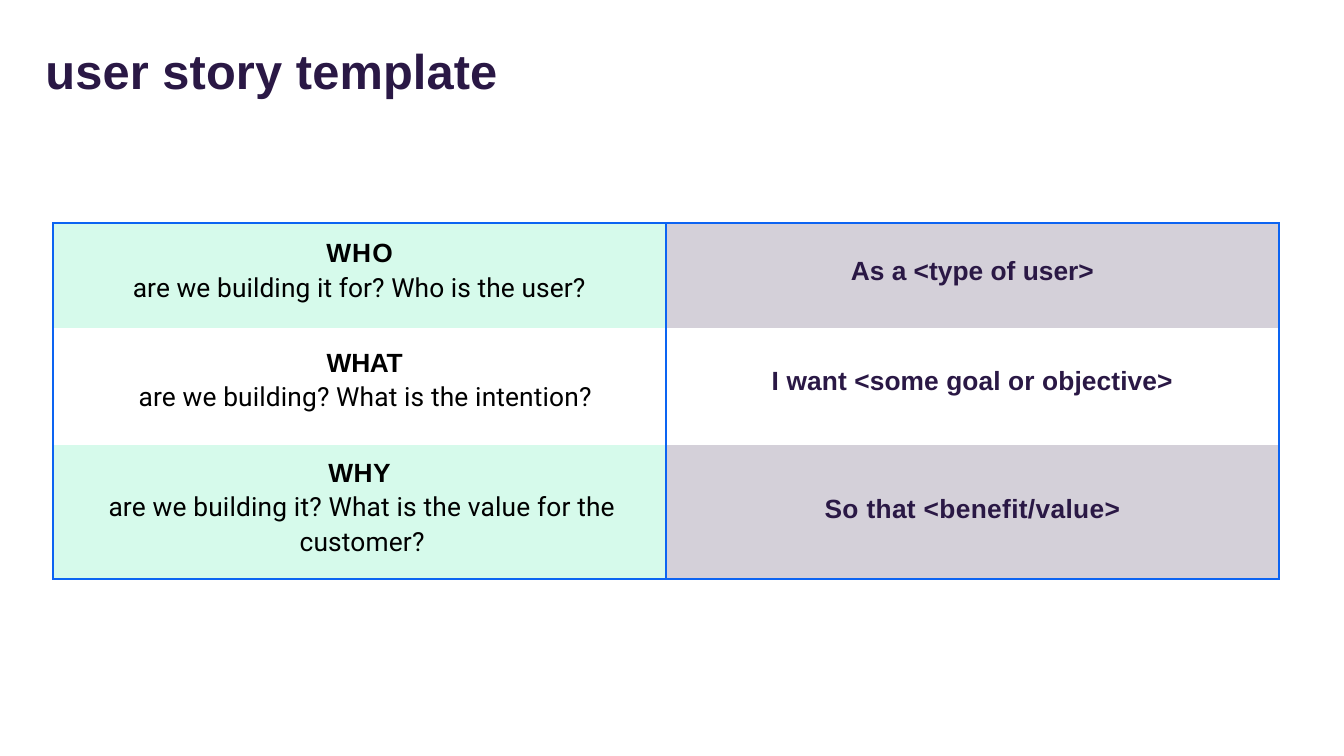
"""Build the user story template slide: a title above a two-column table."""
from lxml import etree
from pptx import Presentation
from pptx.dml.color import RGBColor
from pptx.enum.text import MSO_ANCHOR, PP_ALIGN
from pptx.oxml.ns import qn
from pptx.util import Pt

CENTER = PP_ALIGN.CENTER
LEFT = PP_ALIGN.LEFT
TOP = MSO_ANCHOR.TOP
PURPLE, BLACK, WHITE = "2A1845", "000000", "FFFFFF"
MINT, GREY, BLUE = "D6FAEB", "D4D0D9", "0C64F2"


def color(value):
    return RGBColor.from_string(value)


def write(paragraph, text, size=31, font="Arial", ink=BLACK, bold=True, align=CENTER,
          tracking=0, before=0, line=1, left=0, right=0):
    paragraph.alignment = align
    paragraph.space_before = Pt(before)
    paragraph.line_spacing = line
    properties = paragraph._p.get_or_add_pPr()
    properties.set("marL", str(Pt(left)))
    properties.set("marR", str(Pt(right)))
    run = paragraph.add_run()
    run.text = text
    run.font.name = font
    run.font.size = Pt(size)
    run.font.bold = bold
    run.font.color.rgb = color(ink)
    run._r.get_or_add_rPr().set("spc", str(round(tracking * 100)))


presentation = Presentation()
presentation.slide_width = Pt(1583.3)
presentation.slide_height = Pt(890.6)
slide = presentation.slides.add_slide(presentation.slide_layouts[6])

title = slide.shapes.add_textbox(Pt(52.6), Pt(46.8), Pt(539.3), Pt(71.3)).text_frame
title.word_wrap = False
title.margin_left = title.margin_right = title.margin_bottom = 0
title.margin_top = Pt(1.4)
write(title.paragraphs[0], "user story template", size=57.5, ink=PURPLE, align=LEFT,
      tracking=0.18, before=1.2, left=0.9)

rows = [
    dict(height=124, fills=(MINT, GREY), tops=(18, 40),
         word="WHO", word_format=dict(tracking=1.4),
         question="are we building it for? Who is the user?",
         question_format=dict(tracking=0.13, before=5.7),
         story="As a <type of user>", story_tracking=0.05),
    dict(height=138, fills=(WHITE, WHITE), tops=(23.5, 45),
         word="WHAT", word_format=dict(tracking=-0.3, left=12.2),
         question="are we building? What is the intention?",
         question_format=dict(tracking=0.19, before=5.7, left=13.7),
         story="I want <some goal or objective>", story_tracking=0.16),
    dict(height=157, fills=(MINT, GREY), tops=(15, 58),
         word="WHY", word_format=dict(tracking=0.5),
         question="are we building it? What is the value for the customer?",
         question_format=dict(tracking=0.22, line=1.15, left=64, right=58),
         story="So that <benefit/value>", story_tracking=0.42),
]

total_height = sum(row["height"] for row in rows)
table = slide.shapes.add_table(len(rows), 2, Pt(62.6), Pt(262.8), Pt(1444), Pt(total_height)).table
table.first_row = table.horz_banding = False
for column in table.columns:
    column.width = Pt(722)

for index, row in enumerate(rows):
    table.rows[index].height = Pt(row["height"])
    question_cell, story_cell = table.rows[index].cells
    borders = {"lnL": True, "lnR": True, "lnT": index == 0, "lnB": index == len(rows) - 1}
    for cell, fill, top in zip((question_cell, story_cell), row["fills"], row["tops"]):
        cell.vertical_anchor = TOP
        cell.margin_left = cell.margin_right = cell.margin_bottom = 0
        cell.margin_top = Pt(top)
        for side, visible in borders.items():
            border = etree.SubElement(cell._tc.get_or_add_tcPr(), qn(f"a:{side}"))
            if visible:
                border.set("w", str(Pt(2.25)))
                paint = etree.SubElement(border, qn("a:solidFill"))
                etree.SubElement(paint, qn("a:srgbClr"), val=BLUE)
            else:
                etree.SubElement(border, qn("a:noFill"))
        cell.fill.solid()
        cell.fill.fore_color.rgb = color(fill)
    question_frame = question_cell.text_frame
    write(question_frame.paragraphs[0], row["word"], **row["word_format"])
    write(question_frame.add_paragraph(), row["question"], font="Roboto", bold=False,
          **row["question_format"])
    write(story_cell.text_frame.paragraphs[0], row["story"], ink=PURPLE,
          tracking=row["story_tracking"])

presentation.save("out.pptx")
